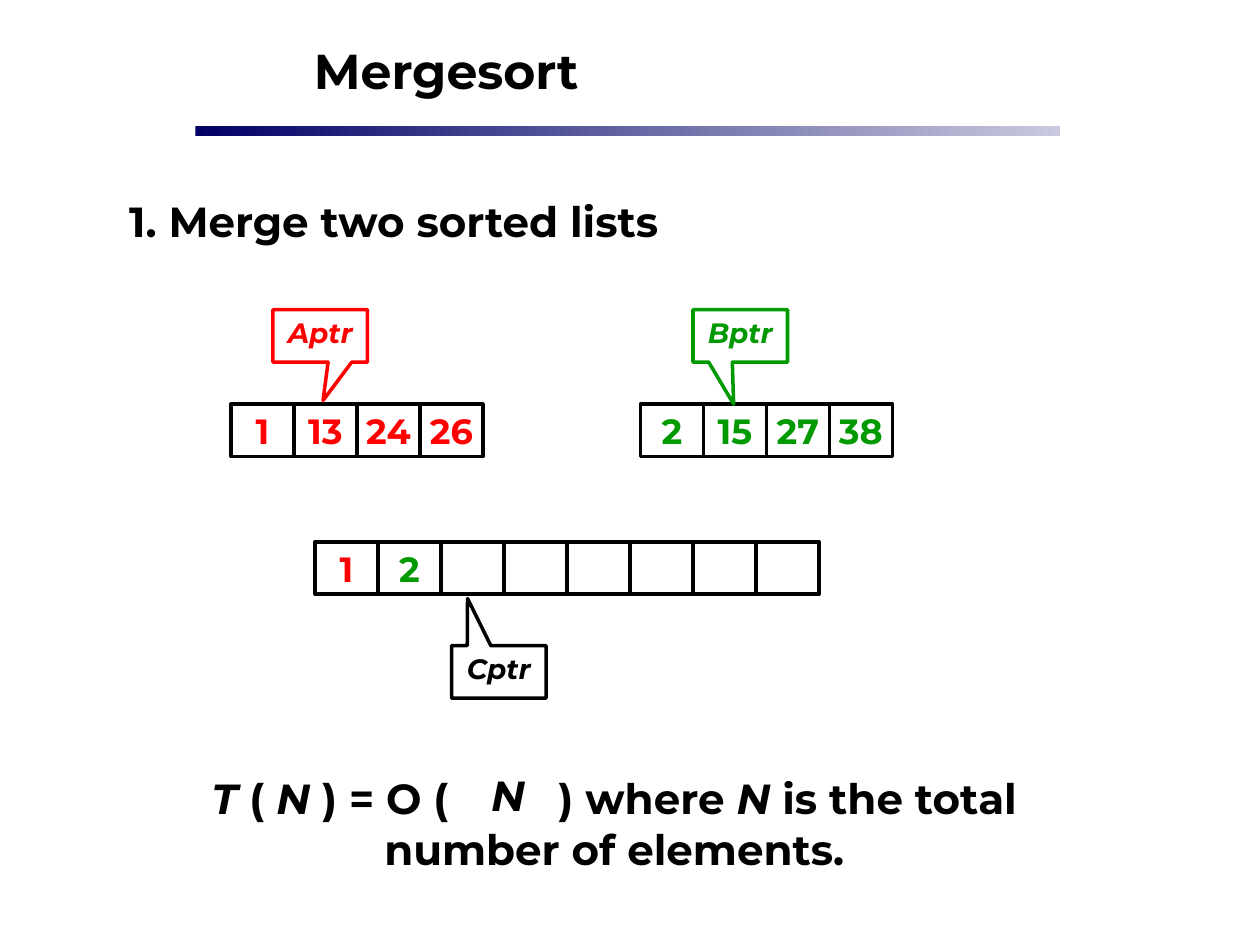
from pptx import Presentation
from pptx.dml.color import RGBColor
from pptx.enum.shapes import MSO_SHAPE
from pptx.enum.text import MSO_ANCHOR, PP_ALIGN
from pptx.util import Inches, Pt

COLORS = {
    "black": "000000", "red": "FF0000", "green": "009900",
    "navy": "000066", "lavender": "C9C9DF",
}
CELL_WIDTH, CELL_HEIGHT = 6, 5


def color(name):
    return RGBColor.from_string(COLORS[name])


class MergesortPage:
    """Places elements on a grid of 120 columns by 90 rows."""
    font = "Montserrat"
    unit = Inches(1) / 12

    def __init__(self, deck):
        self.page = deck.slides.add_slide(deck.slide_layouts[6])

    def place(self, *cells):
        return [round(cell * self.unit) for cell in cells]

    def fill_text(self, frame, spans, size, ink="black", wrap=True, side=0.1):
        """Fill a frame with (text, italic, tracking in points) spans."""
        frame.word_wrap = wrap
        frame.margin_left = frame.margin_right = Inches(side)
        para = frame.paragraphs[0]
        para.alignment = PP_ALIGN.CENTER
        for text, italic, tracking in spans:
            span = para.add_run()
            span.text = text
            span.font.name, span.font.size = self.font, Pt(size)
            span.font.bold, span.font.italic = True, italic
            span.font.color.rgb = color(ink)
            if tracking:
                span._r.get_or_add_rPr().set("spc", str(tracking * 100))

    def text(self, place, spans, size, wrap=True):
        box = self.page.shapes.add_textbox(*self.place(*place))
        self.fill_text(box.text_frame, spans, size, wrap=wrap)

    def outline(self, kind, place, ink):
        shape = self.page.shapes.add_shape(kind, *self.place(*place))
        shape.shadow.inherit = False
        shape.fill.background()
        shape.line.color.rgb = color(ink)
        shape.line.width = Pt(2)
        return shape

    def bar(self, place):
        shape = self.page.shapes.add_shape(MSO_SHAPE.RECTANGLE, *self.place(*place))
        shape.shadow.inherit = False
        shape.line.fill.background()
        shape.fill.gradient()
        shape.fill.gradient_angle = 0
        for stop, name in zip(shape.fill.gradient_stops, ("navy", "lavender")):
            stop.color.rgb = color(name)

    def array(self, left, top, values):
        """Draw a row of adjoining cells from (value, colour) pairs."""
        for index, (value, ink) in enumerate(values):
            place = (left + index * CELL_WIDTH, top, CELL_WIDTH, CELL_HEIGHT)
            cell = self.outline(MSO_SHAPE.RECTANGLE, place, "black")
            cell.text_frame.vertical_anchor = MSO_ANCHOR.MIDDLE
            if value:
                self.fill_text(cell.text_frame, [(value, False, 0)], 20, ink, wrap=False)

    def pointer(self, left, top, label, ink, tip):
        callout = self.outline(MSO_SHAPE.RECTANGULAR_CALLOUT, (left, top, 9, 5), ink)
        callout.adjustments[0], callout.adjustments[1] = tip
        callout.text_frame.vertical_anchor = MSO_ANCHOR.TOP
        self.fill_text(callout.text_frame, [(label, True, 0)], 16, ink, side=0.02)


def main():
    deck = Presentation()
    deck.slide_width, deck.slide_height = Inches(10), Inches(7.5)
    page = MergesortPage(deck)

    # Heading
    page.bar((18.6, 12, 82.4, 1))
    page.text((4, 3.25, 77, 6.85), [("Mergesort", False, 0)], 28)
    page.text((6, 18, 63, 6), [("1. Merge two sorted lists", False, 0)], 24)

    # Sorted inputs and the merged output
    page.array(22, 38.5, [(value, "red") for value in ("1", "13", "24", "26")])
    page.array(61, 38.5, [(value, "green") for value in ("2", "15", "27", "38")])
    page.array(30, 51.6, [("1", "red"), ("2", "green")] + [("", "black")] * 6)

    # Pointers to the current cells
    page.pointer(26, 29.5, "Aptr", "red", (0.03, 1.23))
    page.pointer(66, 29.5, "Bptr", "green", (-0.07, 1.3))
    page.pointer(43, 61.5, "Cptr", "black", (-0.33, -1.4))

    # Running time, with a widely tracked space that leaves room for the N
    page.text((12, 73, 93, 11.5), [
        ("T ", True, 0), ("( ", False, 0), ("N ", True, 0),
        (") = O (", False, 0), (" ", False, 56), (") where ", False, 0),
        ("N", True, 0), (" is the total number of elements.", False, 0),
    ], 24)
    page.text((45.6, 72.7, 5.4, 6), [("N", True, 0)], 24, wrap=False)

    deck.save("out.pptx")


if __name__ == "__main__":
    main()
